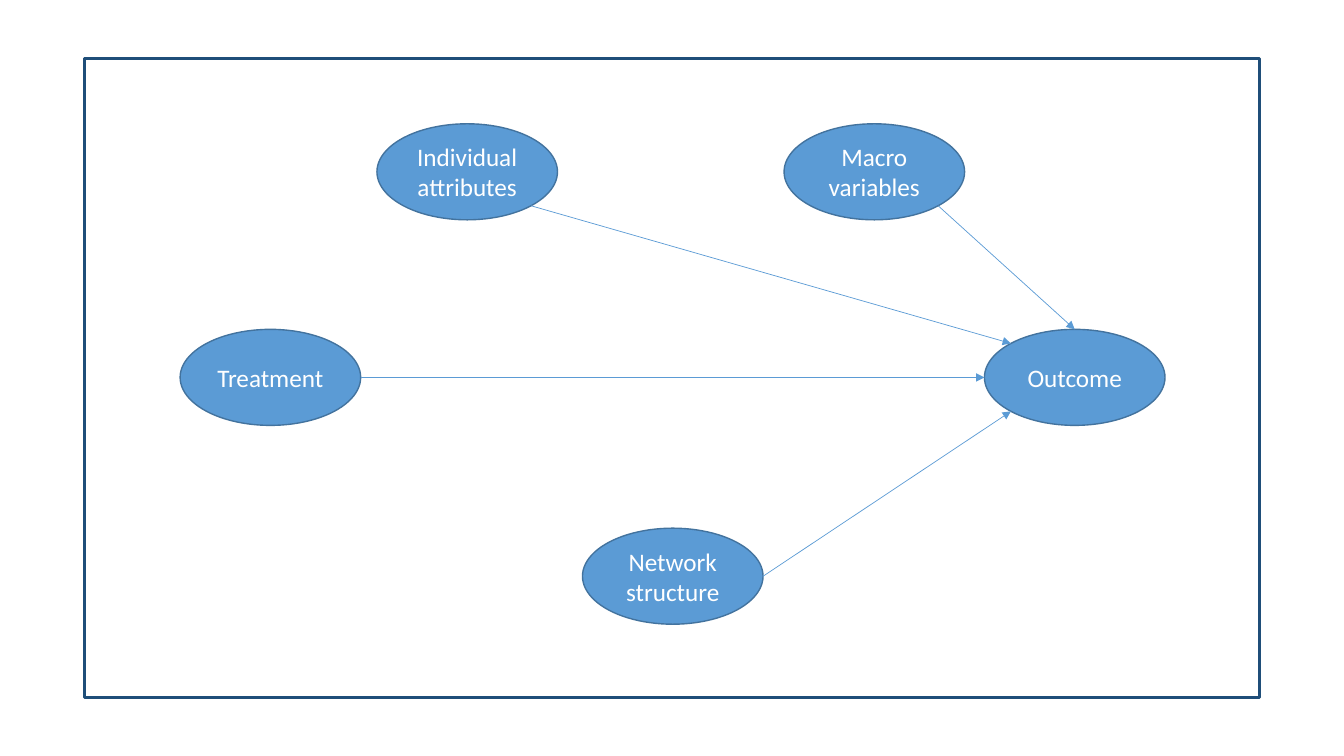
import math

from lxml import etree
from pptx import Presentation
from pptx import util as u
from pptx.dml.color import RGBColor
from pptx.enum import shapes, text
from pptx.oxml import ns

FRAME = (2.13, 1.47, 29.62, 16.1)
NODE_WIDTH, NODE_HEIGHT = 4.55, 2.42

# Left and top of each node, in cm from the frame's corner
NODES = {
    "Treatment": (2.41, 6.83),
    "Network structure": (12.55, 11.84),
    "Macro variables": (17.63, 1.65),
    "Individual attributes": (7.37, 1.65),
    "Outcome": (22.68, 6.83),
}

# Cause, angle where the arrow leaves it, angle where it meets the outcome;
# degrees run clockwise from the right
EFFECTS = [
    ("Individual attributes", 45, 225),
    ("Macro variables", 45, 270),
    ("Network structure", 0, 135),
    ("Treatment", 0, 180),
]


def color(value):
    """Turn a hex string into a colour."""
    return RGBColor.from_string(value)


def set_line(shape, value, width):
    """Give an outline or connector its colour and width in points."""
    shape.line.color.rgb = color(value)
    shape.line.width = u.Pt(width)


def add_text(shape, words, size=18, font="Calibri", fill="FFFFFF"):
    """Write one centred paragraph in the middle of a shape."""
    frame = shape.text_frame
    frame.word_wrap = True
    frame.vertical_anchor = text.MSO_ANCHOR.MIDDLE
    para = frame.paragraphs[0]
    para.alignment = text.PP_ALIGN.CENTER
    span = para.add_run()
    span.text = words
    span.font.size = u.Pt(size)
    span.font.name = font
    span.font.color.rgb = color(fill)


def add_box(group, kind, box, fill, line, width):
    """Add a preset shape in a box given in cm; fill None leaves it open."""
    shape = group.shapes.add_shape(kind, *map(u.Cm, box))
    shape.shadow.inherit = False
    if fill:
        shape.fill.solid()
        shape.fill.fore_color.rgb = color(fill)
    else:
        shape.fill.background()
    set_line(shape, line, width)
    return shape


def edge_point(box, angle):
    """Find the point on the ellipse in a box at a given angle."""
    left, top, width, height = box
    turn = math.radians(angle)
    return (left + width / 2 * (1 + math.cos(turn)),
            top + height / 2 * (1 + math.sin(turn)))


def add_arrow(group, start, end):
    """Add a thin straight arrow between two points in cm."""
    arrow = group.shapes.add_connector(
        shapes.MSO_CONNECTOR.STRAIGHT, *map(u.Cm, start + end))
    set_line(arrow, "5B9BD5", 0.5)
    etree.SubElement(arrow.line._get_or_add_ln(), ns.qn("a:tailEnd"),
                     type="triangle")
    etree.SubElement(arrow._element.spPr, ns.qn("a:effectLst"))


def add_diagram(page, box):
    """Draw the framed diagram of causes and outcome inside a box."""
    left, top = box[:2]
    group = page.shapes.add_group_shape()
    places = {}
    for name, (across, down) in NODES.items():
        places[name] = (left + across, top + down, NODE_WIDTH, NODE_HEIGHT)
        node = add_box(group, shapes.MSO_SHAPE.OVAL, places[name],
                       "5B9BD5", "43739E", 1)
        add_text(node, name)
    for cause, leave, meet in EFFECTS:
        add_arrow(group, edge_point(places[cause], leave),
                  edge_point(places["Outcome"], meet))
    add_box(group, shapes.MSO_SHAPE.RECTANGLE, box, None, "1F4E79", 2.25)


def main():
    """Build and save the deck."""
    deck = Presentation()
    deck.slide_width, deck.slide_height = u.Cm(33.87), u.Cm(19.05)
    page = deck.slides.add_slide(deck.slide_layouts[6])
    add_diagram(page, FRAME)
    deck.save("out.pptx")


main()
